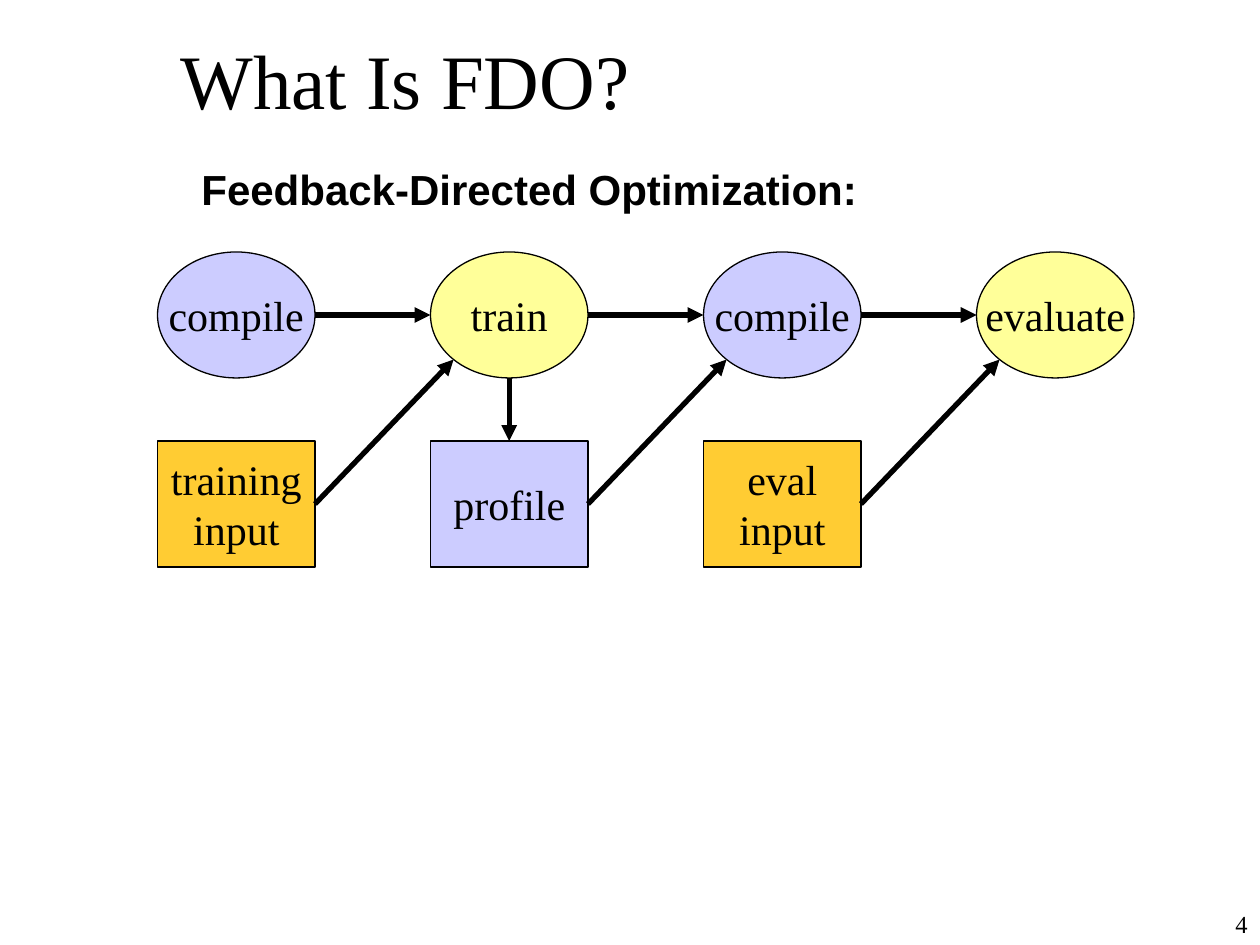
import math

import lxml.etree
import pptx
import pptx.dml.color
import pptx.enum.shapes
import pptx.enum.text
import pptx.oxml.ns
import pptx.util

Pt = pptx.util.Pt
Align = pptx.enum.text.PP_ALIGN
Anchor = pptx.enum.text.MSO_ANCHOR
Shape = pptx.enum.shapes.MSO_SHAPE
COLORS = {"ink": "000000", "build": "CCCCFF", "run": "FFFF99", "input": "FFCC33"}
LEFT, PITCH = 90, 156
WIDTH, HEIGHT = 90, 72
STEP_TOP, DATA_TOP = 144, 252
STEPS = [("compile", "build"), ("train", "run"), ("compile", "build"), ("evaluate", "run")]
DATA = [("training\ninput", "input"), ("profile", "build"), ("eval\ninput", "input")]


def color(name):
    """Return the named colour."""
    return pptx.dml.color.RGBColor.from_string(COLORS[name])


def write(frame, text, size=24, font="Times New Roman", bold=False,
          align=Align.LEFT, anchor=Anchor.TOP, wrap=True):
    """Fill a text frame, one paragraph for each line of text."""
    frame.word_wrap = wrap
    frame.vertical_anchor = anchor
    frame.text = text
    for para in frame.paragraphs:
        para.alignment = align
        for span in para.runs:
            span.font.size = Pt(size)
            span.font.name = font
            span.font.bold = bold
            span.font.color.rgb = color("ink")


class Diagram:
    """Draw flow diagram elements on one page in a shared style."""

    def __init__(self, page, outline=0.75, stroke=3):
        """Keep the page and the line widths."""
        self.page = page
        self.outline = outline
        self.stroke = stroke

    def label(self, text, left, top, width, height, **style):
        """Add a text box."""
        box = self.page.shapes.add_textbox(Pt(left), Pt(top), Pt(width), Pt(height))
        write(box.text_frame, text, **style)

    def node(self, kind, text, fill, left, top):
        """Add a filled shape with centred text."""
        box = self.page.shapes.add_shape(kind, Pt(left), Pt(top), Pt(WIDTH), Pt(HEIGHT))
        box.shadow.inherit = False
        box.fill.solid()
        box.fill.fore_color.rgb = color(fill)
        box.line.color.rgb = color("ink")
        box.line.width = Pt(self.outline)
        write(box.text_frame, text, align=Align.CENTER, anchor=Anchor.MIDDLE, wrap=False)
        return box

    def arrow(self, start, end, source=None, target=None):
        """Add an arrow that may leave a box's right side or enter a box's top."""
        points = [Pt(value) for value in (*start, *end)]
        arrow = self.page.shapes.add_connector(
            pptx.enum.shapes.MSO_CONNECTOR.STRAIGHT, *points)
        if source is not None:
            arrow.begin_connect(source, 3)
        if target is not None:
            arrow.end_connect(target, 0)
        arrow.line.color.rgb = color("ink")
        arrow.line.width = Pt(self.stroke)
        qn = pptx.oxml.ns.qn
        line = arrow.line._get_or_add_ln()
        lxml.etree.SubElement(line, qn("a:tailEnd"), type="triangle")
        lxml.etree.SubElement(arrow._element.spPr, qn("a:effectLst"))


def main():
    """Build and save the deck."""
    deck = pptx.Presentation()
    deck.slide_width, deck.slide_height = Pt(720), Pt(540)
    diagram = Diagram(deck.slides.add_slide(deck.slide_layouts[6]))
    diagram.label("What Is FDO?", 96, 0, 594, 90, size=44, anchor=Anchor.MIDDLE)
    diagram.label("Feedback-Directed Optimization:", 108, 90, 389, 36,
                  font="Arial", bold=True, wrap=False)

    columns = [LEFT + PITCH * index for index in range(len(STEPS))]
    for left, (text, fill) in zip(columns, STEPS):
        diagram.node(Shape.OVAL, text, fill, left, STEP_TOP)
    boxes = [diagram.node(Shape.RECTANGLE, text, fill, left, DATA_TOP)
             for left, (text, fill) in zip(columns, DATA)]

    diagonal = math.sqrt(0.5)
    entry_x = WIDTH / 2 * (1 - diagonal)
    entry_y = STEP_TOP + HEIGHT / 2 * (1 + diagonal)
    step_middle, data_middle = STEP_TOP + HEIGHT / 2, DATA_TOP + HEIGHT / 2
    for left, following, box in zip(columns, columns[1:], boxes):
        right = left + WIDTH
        diagram.arrow((right, step_middle), (following, step_middle))
        diagram.arrow((right, data_middle), (following + entry_x, entry_y), source=box)
    center = columns[1] + WIDTH / 2
    diagram.arrow((center, STEP_TOP + HEIGHT), (center, DATA_TOP), target=boxes[1])

    diagram.label("4", 660, 516, 60, 24, size=14, align=Align.RIGHT)
    deck.save("out.pptx")


if __name__ == "__main__":
    main()
